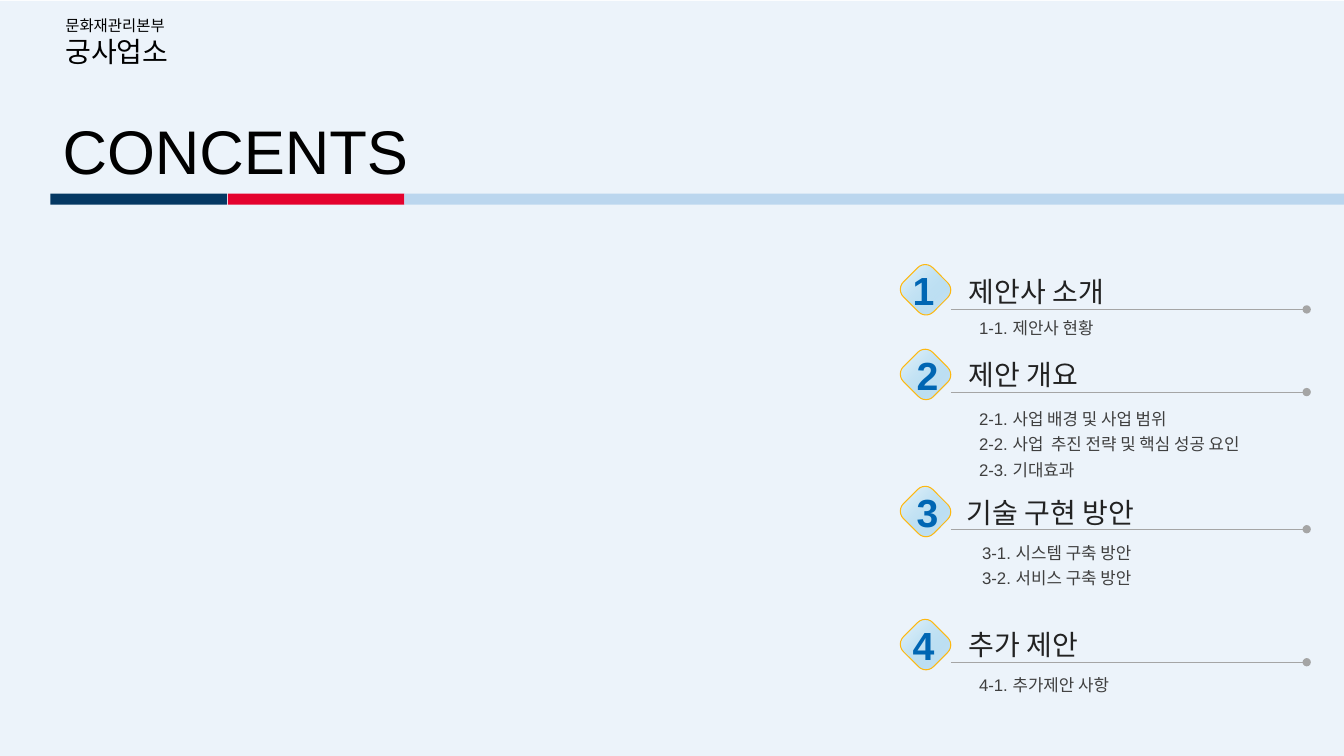
"""Build the contents slide with four numbered sections."""
from dataclasses import dataclass

import lxml.etree
import pptx
import pptx.dml.color
import pptx.enum.shapes
import pptx.enum.text
import pptx.oxml.ns
import pptx.util

Inches = pptx.util.Inches
Pt = pptx.util.Pt
qn = pptx.oxml.ns.qn
Shape = pptx.enum.shapes.MSO_SHAPE
Anchor = pptx.enum.text.MSO_ANCHOR
Align = pptx.enum.text.PP_ALIGN

BADGE_LEFT = 8.97
RULE_LEFT, RULE_RIGHT = 9.43, 12.96


@dataclass
class Section:
    heading: str
    items: list[str]
    rule_top: float
    badge_top: float
    number_left: float
    heading_box: tuple[float, float, float, float]
    list_box: tuple[float, float, float, float]


SECTIONS = [
    Section("제안사 소개", ["1-1. 제안사 현황"], 3.07, 2.67, 9.04,
            (9.61, 2.72, 1.74, 0.34), (9.61, 3.1, 1.74, 0.3)),
    Section("제안 개요",
            ["2-1. 사업 배경 및 사업 범위", "2-2. 사업  추진 전략 및 핵심 성공 요인",
             "2-3. 기대효과"], 3.89, 3.51, 9.08,
            (9.61, 3.54, 2.01, 0.34), (9.61, 4, 3.35, 0.82)),
    Section("기술 구현 방안", ["3-1. 시스템 구축 방안", "3-2. 서비스 구축 방안"],
            5.25, 4.87, 9.08,
            (9.59, 4.91, 2.62, 0.34), (9.64, 5.33, 2.32, 0.56)),
    Section("추가 제안", ["4-1. 추가제안 사항"], 6.57, 6.19, 9.04,
            (9.61, 6.22, 2.76, 0.34), (9.61, 6.64, 1.54, 0.5)),
]


def color(value: str) -> pptx.dml.color.RGBColor:
    return pptx.dml.color.RGBColor.from_string(value)


def set_opacity(shape, value: str, percent: int) -> None:
    for node in shape.element.spPr.iter(qn("a:srgbClr")):
        if node.get("val") == value:
            lxml.etree.SubElement(node, qn("a:alpha"), val=str(percent * 1000))


def place(box, left: float, top: float, width: float, height: float) -> None:
    box.left, box.top = Inches(left), Inches(top)
    box.width, box.height = Inches(width), Inches(height)


def write(box, lines: list[str], *, sizes: list[float], ink: str, bold: bool = False,
          align=Align.LEFT, anchor=Anchor.TOP, padded: bool = True,
          gap: float = 0) -> None:
    frame = box.text_frame
    frame.word_wrap = True
    frame.auto_size = pptx.enum.text.MSO_AUTO_SIZE.SHAPE_TO_FIT_TEXT
    frame.vertical_anchor = anchor
    frame.margin_left = frame.margin_right = Inches(0.1 if padded else 0)
    frame.margin_top = frame.margin_bottom = Inches(0.05 if padded else 0)
    for index, line in enumerate(lines):
        para = frame.paragraphs[0] if index == 0 else frame.add_paragraph()
        if box.is_placeholder:
            properties = para._p.get_or_add_pPr()
            properties.set("marL", "0")
            properties.set("indent", "0")
            lxml.etree.SubElement(properties, qn("a:buNone"))
        para.alignment = align
        para.space_before = Pt(gap if index else 0)
        span = para.add_run()
        span.text = line
        span.font.name = "Arial"
        span.font.size = Pt(sizes[min(index, len(sizes) - 1)])
        span.font.bold = bold
        span.font.color.rgb = color(ink)


def add_text(shapes, bounds: tuple[float, float, float, float],
             lines: list[str], **style) -> None:
    box = shapes.add_textbox(*map(Inches, bounds))
    write(box, lines, **style)


def add_bar(shapes, left: float, top: float, width: float, height: float, fill: str):
    bar = shapes.add_shape(Shape.RECTANGLE, *map(Inches, (left, top, width, height)))
    bar.shadow.inherit = False
    bar.fill.solid()
    bar.fill.fore_color.rgb = color(fill)
    bar.line.fill.background()
    return bar


def add_badge(page, number: int, section: Section) -> None:
    group = page.shapes.add_group_shape()
    bounds = (BADGE_LEFT, section.badge_top, 0.42, 0.41)
    diamond = group.shapes.add_shape(Shape.ROUNDED_RECTANGLE, *map(Inches, bounds))
    diamond.shadow.inherit = False
    diamond.rotation = 45
    diamond.adjustments[0] = 0.255
    diamond.fill.gradient()
    diamond.fill.gradient_angle = 0
    for stop, value in zip(diamond.fill.gradient_stops, ("FFFFFF", "45ABE0")):
        stop.color.rgb = color(value)
    set_opacity(diamond, "45ABE0", 20)
    diamond.line.color.rgb = color("FDB811")
    diamond.line.width = Pt(0.75)
    add_text(group.shapes, (section.number_left, section.badge_top - 0.03, 0.24, 0.47),
             [str(number)], sizes=[28], ink="0066B3", bold=True,
             align=Align.CENTER, anchor=Anchor.MIDDLE, padded=False)


def add_rule(page, top: float) -> None:
    rule = page.shapes.add_connector(
        pptx.enum.shapes.MSO_CONNECTOR.STRAIGHT,
        *map(Inches, (RULE_LEFT, top, RULE_RIGHT, top)))
    rule.line.color.rgb = color("A5A5A5")
    rule.line.width = Pt(0.75)
    lxml.etree.SubElement(rule.line._get_or_add_ln(), qn("a:tailEnd"), type="oval")
    lxml.etree.SubElement(rule.element.spPr, qn("a:effectLst"))


def add_section(page, number: int, section: Section) -> None:
    add_rule(page, section.rule_top)
    add_text(page.shapes, section.heading_box, [section.heading], sizes=[20],
             ink="222222", anchor=Anchor.MIDDLE, padded=False)
    add_badge(page, number, section)
    listing = page.placeholders[number]
    place(listing, *section.list_box)
    write(listing, section.items, sizes=[12], ink="3F3F3F", gap=4)


def main() -> None:
    deck = pptx.Presentation()
    deck.slide_width, deck.slide_height = Inches(13.33), Inches(7.5)
    page = deck.slides.add_slide(deck.slide_layouts.get_by_name("Comparison"))

    backdrop = add_bar(page.shapes, -0.01, 0.01, 13.35, 7.51, "BBD6EE")
    set_opacity(backdrop, "BBD6EE", 28)
    page.shapes.element.insert(2, backdrop.element)

    title = page.shapes.title
    place(title, 0.52, 1.07, 3.8, 0.84)
    write(title, ["CONCENTS"], sizes=[44], ink="000000")

    stripe = page.shapes.add_group_shape()
    for left, width, fill in ((0.5, 1.75, "053863"), (2.26, 1.75, "E4022E"),
                              (4.01, 9.32, "BBD6EE")):
        add_bar(stripe.shapes, left, 1.92, width, 0.11, fill)

    for number, section in enumerate(SECTIONS, start=1):
        add_section(page, number, section)

    add_text(page.shapes, (0.55, 0.11, 1.23, 0.62), ["문화재관리본부", "궁사업소"],
             sizes=[11, 20], ink="000000")
    deck.save("out.pptx")


if __name__ == "__main__":
    main()
